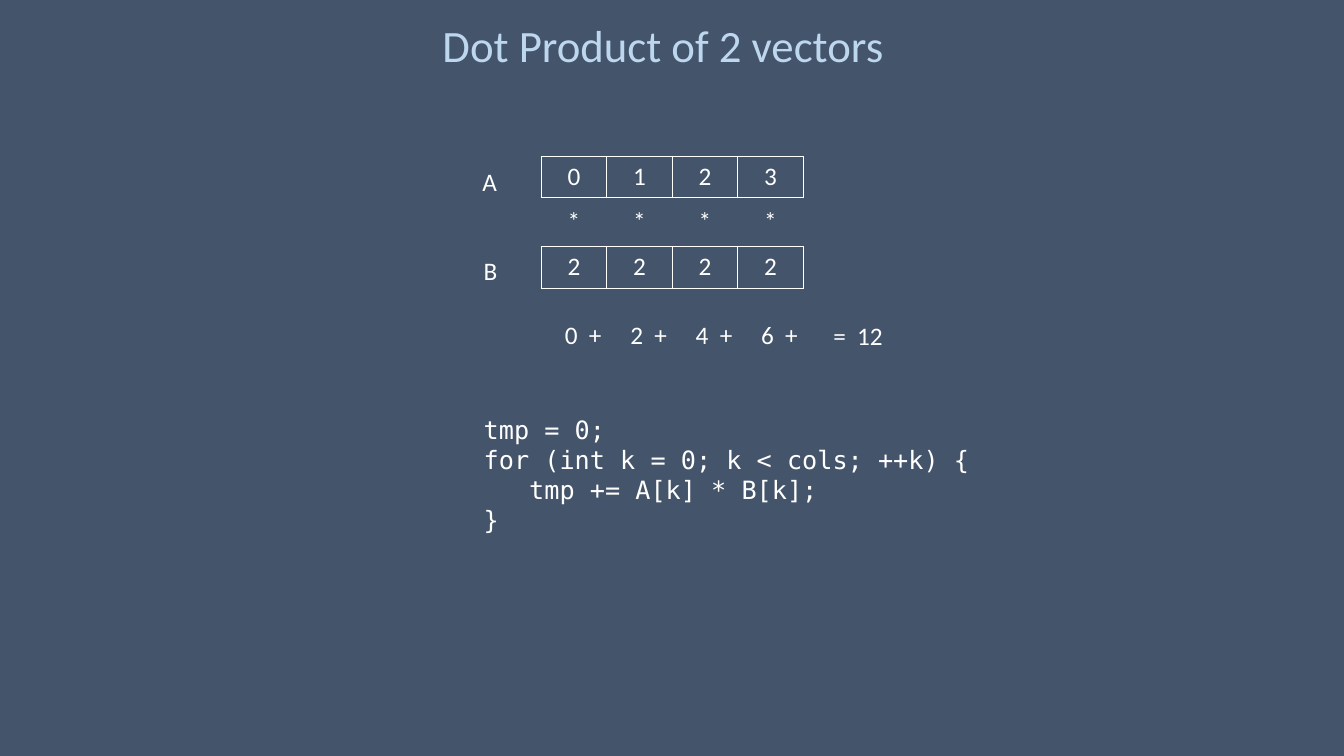
from lxml import etree
from pptx import Presentation
from pptx import util as u
from pptx.dml.color import RGBColor
from pptx.enum import text as t
from pptx.oxml import ns

WHITE = "FFFFFF"
SIDE = 1.65
HIGH = 1.04


def style(para, size=18, face="Calibri", hue=WHITE):
    for run in para.runs:
        run.font.size = u.Pt(size)
        run.font.name = face
        run.font.bold = False
        run.font.color.rgb = RGBColor.from_string(hue)


def write(x, y, w, h, lines, face="Calibri"):
    frame = slide.shapes.add_textbox(u.Cm(x), u.Cm(y), u.Cm(w), u.Cm(h)).text_frame
    frame.word_wrap = False
    frame.text = lines
    for para in frame.paragraphs:
        style(para, face=face)
    return frame


deck = Presentation()
deck.slide_width, deck.slide_height = u.Cm(33.87), u.Cm(19.05)
slide = deck.slides.add_slide(deck.slide_layouts[6])
back = slide.background.fill
back.solid()
back.fore_color.rgb = RGBColor.from_string("44546A")

title = write(2.11, 0.51, 29.21, 1.4, "Dot Product of 2 vectors")
title.word_wrap = True
title.vertical_anchor = t.MSO_ANCHOR.MIDDLE
head = title.paragraphs[0]
head.alignment = t.PP_ALIGN.CENTER
head.line_spacing = 0.9
style(head, 32, hue="BDD7EE")

grids = [
    (13.64, 3.94, ["0", "1", "2", "3"], True),
    (13.64, 6.22, ["2", "2", "2", "2"], True),
    (13.64, 5.08, ["*", "*", "*", "*"], False),
    (13.87, 7.95, ["0 +", "2 +", "4 +", "6 +"], False),
]
for x, y, words, boxed in grids:
    grid = slide.shapes.add_table(
        1, len(words), u.Cm(x), u.Cm(y), u.Cm(SIDE * len(words)), u.Cm(HIGH)
    ).table
    grid.first_row = False
    grid.horz_banding = False
    for col, word in enumerate(words):
        grid.columns[col].width = u.Cm(SIDE)
        cell = grid.cell(0, col)
        cell.text = word
        para = cell.text_frame.paragraphs[0]
        para.alignment = t.PP_ALIGN.CENTER
        style(para)
        if " " in word:
            para.runs[0].font._element.set("spc", "200")
        props = cell._tc.get_or_add_tcPr()
        for edge in ("a:lnL", "a:lnR", "a:lnT", "a:lnB"):
            line = etree.SubElement(props, ns.qn(edge), w="12700")
            if boxed:
                fill = etree.SubElement(line, ns.qn("a:solidFill"))
                etree.SubElement(fill, ns.qn("a:srgbClr"), val=WHITE)
            else:
                etree.SubElement(line, ns.qn("a:noFill"))
        cell.fill.background()

total = write(20.75, 7.95, 1.78, 1.02, "= ").paragraphs[0]
total.runs[0].font._element.set("spc", "200")
total.add_run().text = "12"
style(total)

code = """tmp = 0;
for (int k = 0; k < cols; ++k) {
   tmp += A[k] * B[k];
}"""
write(11.94, 10.31, 12.78, 4.11, code, "DejaVu Sans Mono")

for name, x, y in [("A", 11.91, 4.06), ("B", 11.94, 6.32)]:
    write(x, y, 0.88, 1.02, name)

deck.save("out.pptx")
